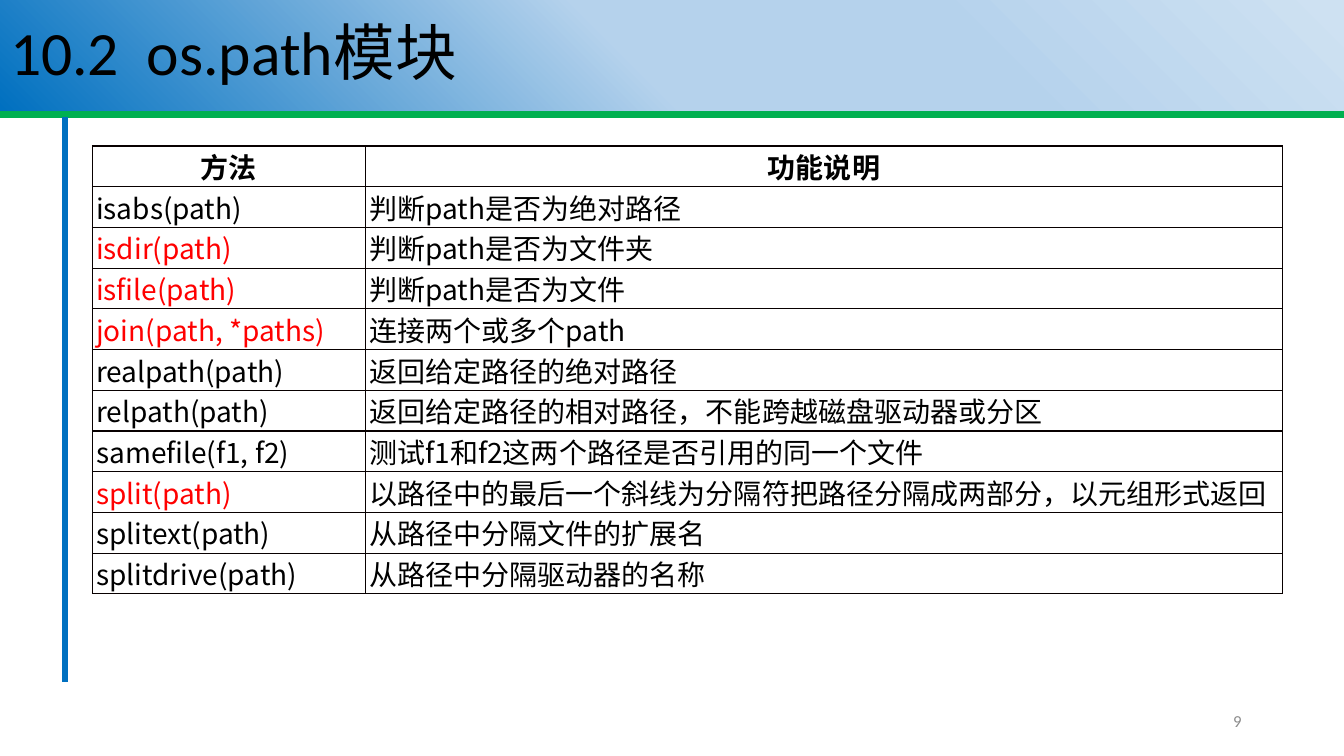
from dataclasses import dataclass

from lxml import etree
from pptx import Presentation
from pptx import util as u
from pptx.dml import color
from pptx.enum import shapes, text
from pptx.oxml import ns

Pt = u.Pt


@dataclass(frozen=True)
class Theme:
    ink: str = "000000"
    red: str = "FF0000"
    green: str = "00B050"
    blue: str = "0070C0"
    grey: str = "8C8C8C"
    edge: str = "080000"
    fade: tuple = ((1, "CEE1F2"), (29, "B5D2EC"), (53, "B5D2EC"), (100, "0070C0"))
    latin: str = "Calibri"
    han: str = "Noto Sans CJK SC"
    head: int = 44
    body: int = 20
    note: int = 12


def add(host, tag, **attrs):
    node = etree.SubElement(host, ns.qn(tag))
    for key, val in attrs.items():
        node.set(key, str(val))
    return node


class Deck:
    def __init__(self, theme):
        self.theme = theme
        self.prs = Presentation()
        self.prs.slide_width, self.prs.slide_height = Pt(960), Pt(540)
        self.slide = self.prs.slides.add_slide(self.prs.slide_layouts[5])

    def run(self, para, words, size, tone, face, bold=False):
        run = para.add_run()
        run.text = words
        font = run.font
        font.size, font.bold, font.name = Pt(size), bold, face
        font.color.rgb = color.RGBColor.from_string(tone)
        add(font._element, "a:ea", typeface=self.theme.han)

    def title(self, words, box):
        t = self.theme
        shape = self.slide.shapes.title
        shape.left, shape.top, shape.width, shape.height = map(Pt, box)
        shape.fill.gradient()
        shape.fill.gradient_angle = 225
        stops = shape._element.spPr.find(".//" + ns.qn("a:gsLst"))
        for old in list(stops):
            stops.remove(old)
        for place, tone in t.fade:
            add(add(stops, "a:gs", pos=place * 1000), "a:srgbClr", val=tone)
        frame = shape.text_frame
        frame.auto_size = text.MSO_AUTO_SIZE.NONE
        frame.vertical_anchor = text.MSO_ANCHOR.MIDDLE
        para = frame.paragraphs[0]
        para.alignment = text.PP_ALIGN.LEFT
        para.line_spacing = 0.9
        self.run(para, words, t.head, t.ink, t.latin)

    def line(self, ends, tone, width):
        line = self.slide.shapes.add_connector(
            shapes.MSO_CONNECTOR.STRAIGHT, *map(Pt, ends))
        line.line.color.rgb = color.RGBColor.from_string(tone)
        line.line.width = Pt(width)
        add(line._element.spPr, "a:effectLst")

    def label(self, words, box):
        t = self.theme
        frame = self.slide.shapes.add_textbox(*map(Pt, box)).text_frame
        frame.word_wrap = True
        frame.vertical_anchor = text.MSO_ANCHOR.MIDDLE
        para = frame.paragraphs[0]
        para.alignment = text.PP_ALIGN.RIGHT
        self.run(para, words, t.note, t.grey, t.latin)

    def cell(self, cell, words, tone, head):
        t = self.theme
        cell.margin_left = Pt(0 if head else 2.7)
        cell.margin_right = cell.margin_top = cell.margin_bottom = 0
        para = cell.text_frame.paragraphs[0]
        para.alignment = text.PP_ALIGN.CENTER if head else text.PP_ALIGN.LEFT
        self.run(para, words, t.body, tone, t.han, head)
        props = cell._tc.get_or_add_tcPr()
        for side in "LRTB":
            edge = add(props, "a:ln" + side, w=Pt(1))
            add(add(edge, "a:solidFill"), "a:srgbClr", val=t.edge)
        cell.fill.background()

    def table(self, rows, marked, left, top, widths, high):
        t = self.theme
        grid = self.slide.shapes.add_table(
            len(rows), len(widths), Pt(left), Pt(top),
            Pt(sum(widths)), Pt(high * len(rows))).table
        grid.first_row = grid.horz_banding = False
        for col, width in zip(grid.columns, widths):
            col.width = Pt(width)
        for r, row in enumerate(rows):
            for c, words in enumerate(row):
                tone = t.red if words in marked else t.ink
                self.cell(grid.cell(r, c), words, tone, r == 0)


ROWS = (
    ("方法", "功能说明"),
    ("isabs(path)", "判断path是否为绝对路径"),
    ("isdir(path)", "判断path是否为文件夹"),
    ("isfile(path)", "判断path是否为文件"),
    ("join(path, *paths)", "连接两个或多个path"),
    ("realpath(path)", "返回给定路径的绝对路径"),
    ("relpath(path)", "返回给定路径的相对路径，不能跨越磁盘驱动器或分区"),
    ("samefile(f1, f2)", "测试f1和f2这两个路径是否引用的同一个文件"),
    ("split(path)", "以路径中的最后一个斜线为分隔符把路径分隔成两部分，以元组形式返回"),
    ("splitext(path)", "从路径中分隔文件的扩展名"),
    ("splitdrive(path)", "从路径中分隔驱动器的名称"),
)
MARKED = {"isdir(path)", "isfile(path)", "join(path, *paths)", "split(path)"}


def main():
    theme = Theme()
    deck = Deck(theme)
    deck.line((0, 82, 960, 82), theme.green, 5.25)
    deck.line((46.5, 83.5, 46.5, 487), theme.blue, 3.75)
    deck.title("10.2  os.path模块", (0, 0, 960, 79.5))
    deck.label("9", (678, 500.5, 216, 28.75))
    deck.table(ROWS, MARKED, 66, 104.25, (195.2, 654.8), 29.1)
    deck.prs.save("out.pptx")


if __name__ == "__main__":
    main()
